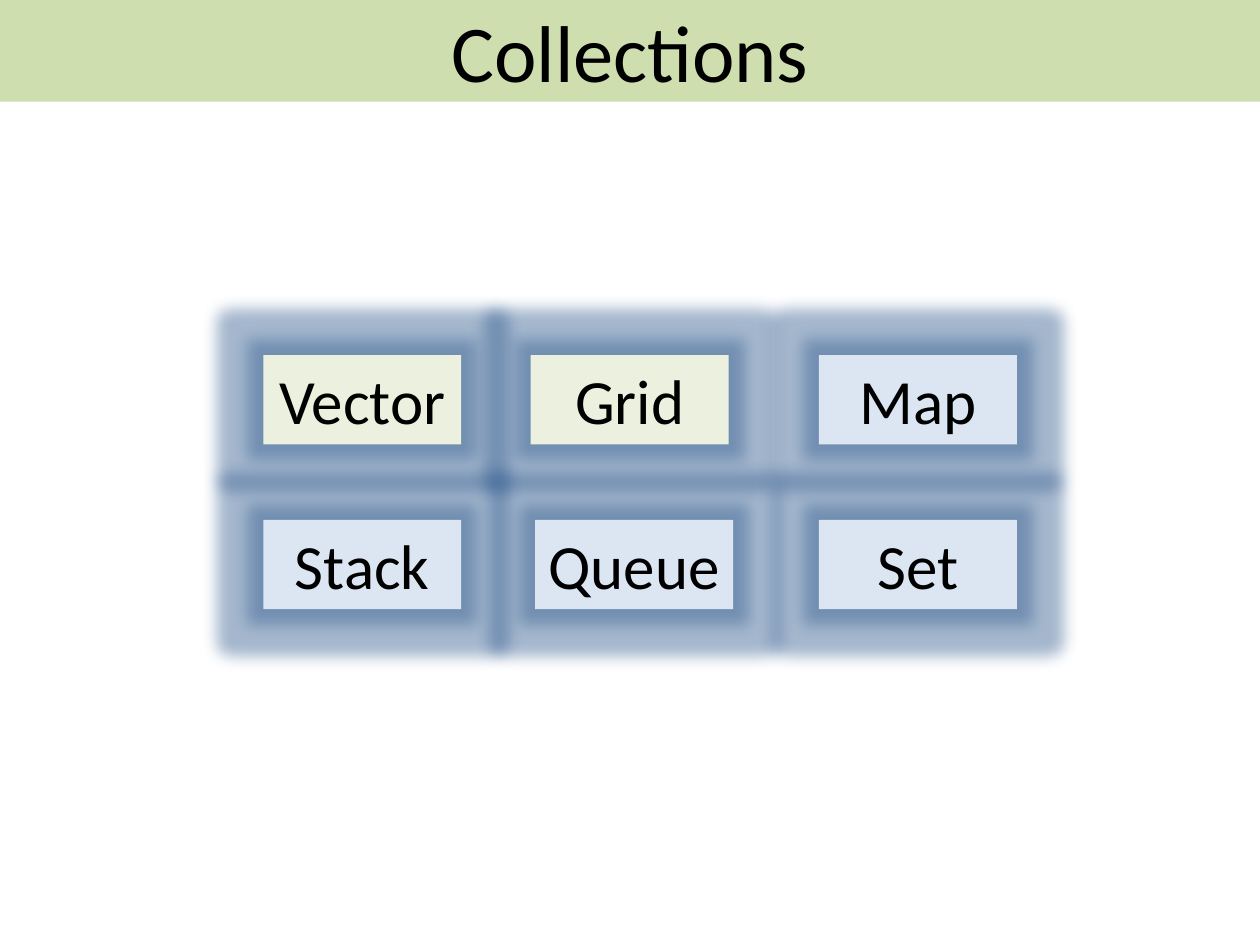
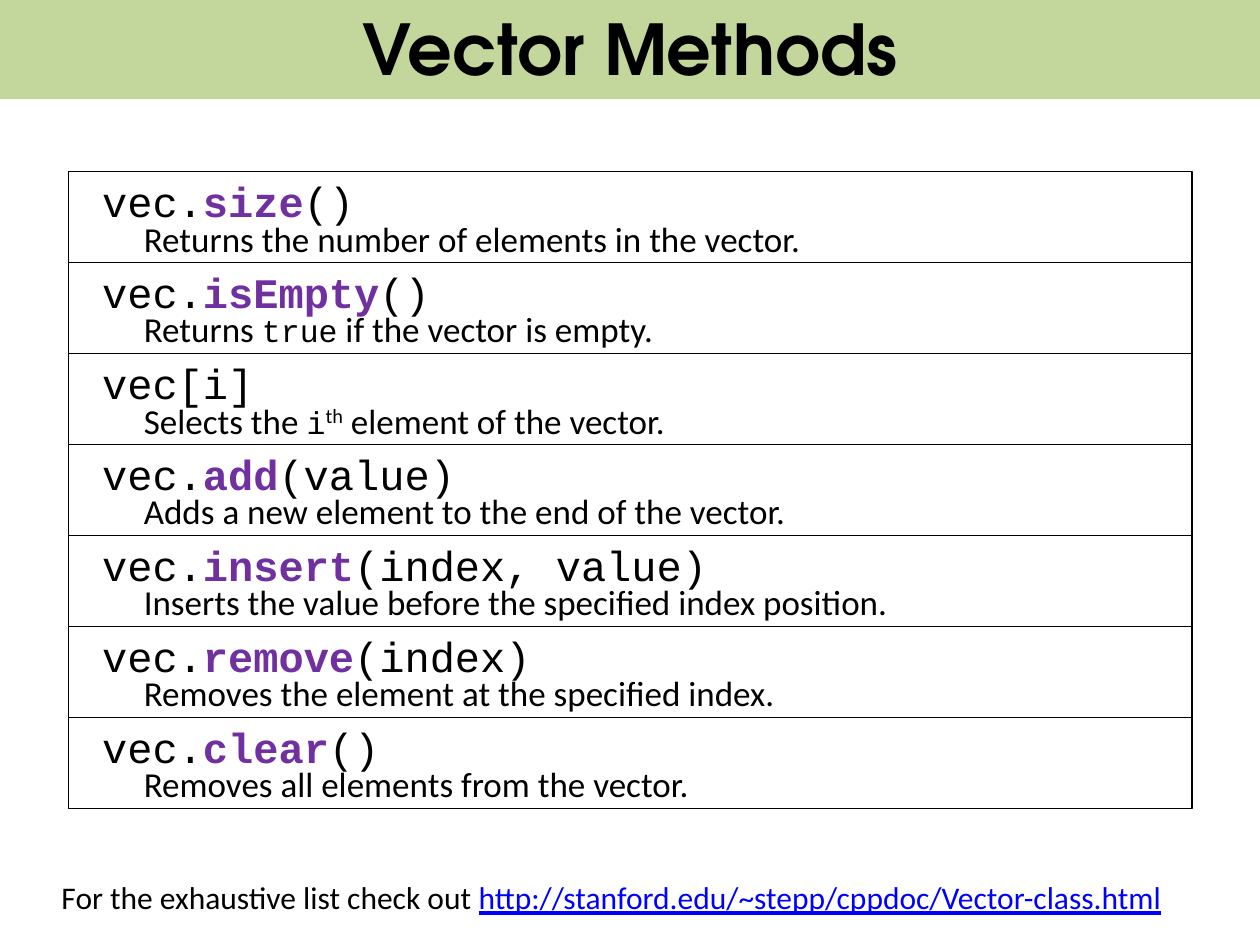
from lxml import etree
from pptx import Presentation
from pptx.dml.color import RGBColor
from pptx.enum.shapes import MSO_SHAPE
from pptx.enum.text import MSO_ANCHOR, MSO_AUTO_SIZE, PP_ALIGN
from pptx.oxml.ns import qn
from pptx.util import Cm, Pt

RECTANGLE = MSO_SHAPE.RECTANGLE
CENTER = PP_ALIGN.CENTER
MIDDLE = MSO_ANCHOR.MIDDLE
TOP = MSO_ANCHOR.TOP
GROW = MSO_AUTO_SIZE.SHAPE_TO_FIT_TEXT

BLACK = RGBColor(0x00, 0x00, 0x00)
WHITE = RGBColor(0xFF, 0xFF, 0xFF)
BAND_GREEN = RGBColor(0xC3, 0xD6, 0x9B)
PALE_GREEN = RGBColor(0xEB, 0xF1, 0xDE)
PALE_BLUE = RGBColor(0xDC, 0xE6, 0xF2)
GLOW_BLUE = RGBColor(0x37, 0x60, 0x92)
METHOD_PURPLE = RGBColor(0x70, 0x30, 0xA0)
LINK_BLUE = RGBColor(0x00, 0x00, 0xFF)

BODY_FONT = "Calibri"
CODE_FONT = "Courier New"
TITLE_FONT = "TeX Gyre Adventor"

SLIDE_WIDTH, SLIDE_HEIGHT = 25.4, 19.05

# Top of each row, then the name, left edge and fill of its collections
COLLECTION_ROWS = [
    (7.16, [("Vector", 5.31, PALE_GREEN), ("Grid", 10.7, PALE_GREEN),
            ("Map", 16.51, PALE_BLUE)]),
    (10.48, [("Stack", 5.31, PALE_BLUE), ("Queue", 10.79, PALE_BLUE),
             ("Set", 16.51, PALE_BLUE)]),
]

# Code before the method name, method name, code after it, description parts
METHODS = [
    ("vec.", "size", "()", ["Returns the number of elements in the vector."]),
    ("vec.", "isEmpty", "()",
     ["Returns ", ("true", "code"), " if the vector is empty."]),
    ("vec[i]", "", "",
     ["Selects the ", ("i", "code"), ("th", "superscript"),
      " element of the vector."]),
    ("vec.", "add", "(value)",
     ["Adds a new element to the end of the vector."]),
    ("vec.", "insert", "(index, value)",
     ["Inserts the value before the specified index position."]),
    ("vec.", "remove", "(index)",
     ["Removes the element at the specified index."]),
    ("vec.", "clear", "()", ["Removes all elements from the vector."]),
]


def add_run(paragraph, text, size, font=BODY_FONT, color=BLACK, bold=False):
    run = paragraph.add_run()
    run.text = text
    run.font.size = Pt(size)
    run.font.name = font
    run.font.color.rgb = color
    run.font.bold = bold
    return run


def add_rectangle(shapes, left, top, width, height, fill):
    shape = shapes.add_shape(RECTANGLE, Cm(left), Cm(top), Cm(width), Cm(height))
    shape.shadow.inherit = False
    shape.fill.solid()
    shape.fill.fore_color.rgb = fill
    shape.line.fill.background()
    return shape


def add_text_line(shapes, left, top, width, height, wrap=True):
    """Add an empty text box and return its paragraph."""
    box = shapes.add_textbox(Cm(left), Cm(top), Cm(width), Cm(height))
    box.text_frame.word_wrap = wrap
    box.text_frame.auto_size = GROW
    return box.text_frame.paragraphs[0]


def set_alpha(color_parent, percent):
    color = color_parent.find(".//" + qn("a:srgbClr"))
    etree.SubElement(color, qn("a:alpha"), val=str(percent * 1000))


def add_glow(shape, color, radius, opacity):
    effects = shape._element.spPr.find(qn("a:effectLst"))
    glow = etree.SubElement(effects, qn("a:glow"), rad=str(int(radius)))
    etree.SubElement(glow, qn("a:srgbClr"), val=str(color))
    set_alpha(glow, opacity)


def add_title_band(slide, title, top, height, size, font=BODY_FONT, bold=False):
    band = add_rectangle(slide.shapes, 0, top, SLIDE_WIDTH, height, BAND_GREEN)
    band.text_frame.vertical_anchor = MIDDLE
    paragraph = band.text_frame.paragraphs[0]
    paragraph.alignment = CENTER
    add_run(paragraph, title, size, font, bold=bold)
    return band


def add_collection(slide, name, left, top, fill):
    box = add_rectangle(slide.shapes, left, top, 3.99, 1.8, fill)
    add_glow(box, GLOW_BLUE, Pt(18), 45)
    frame = box.text_frame
    frame.word_wrap = False
    frame.auto_size = GROW
    frame.vertical_anchor = TOP
    frame.paragraphs[0].alignment = CENTER
    add_run(frame.paragraphs[0], name, 36)


def add_description(paragraph, parts):
    for part in parts:
        text, style = part if isinstance(part, tuple) else (part, "plain")
        if style == "code":
            add_run(paragraph, text, 18, CODE_FONT)
            continue
        run = add_run(paragraph, text, 20)
        if style == "superscript":
            run.font._element.set("baseline", "30000")


def add_method(slide, left, top, width, height, method):
    """Add one framed row with a call and its description."""
    before, name, after, description = method
    shapes = slide.shapes.add_group_shape().shapes
    frame = add_rectangle(shapes, left, top, width, height, WHITE)
    frame.line.color.rgb = BLACK
    frame.line.width = Pt(0.75)

    call = add_text_line(shapes, left + 0.43, top - 0.05, width - 0.86, 1.3)
    add_run(call, before, 24, CODE_FONT)
    if name:
        add_run(call, name, 24, CODE_FONT, METHOD_PURPLE, bold=True)
        add_run(call, after, 24, CODE_FONT)

    line = add_text_line(shapes, left + 1.27, top + 0.79, width - 1.5, 1.12)
    add_description(line, description)


def add_reference(slide, left, top, width, height):
    paragraph = add_text_line(slide.shapes, left, top, width, height, wrap=False)
    add_run(paragraph, "For the exhaustive list check out ", 18)
    address = add_run(paragraph,
                      "http://stanford.edu/~stepp/cppdoc/Vector-class.html",
                      18, color=LINK_BLUE)
    address.font.underline = True


def build_collections_slide(slide):
    for top, collections in COLLECTION_ROWS:
        for name, left, fill in collections:
            add_collection(slide, name, left, top, fill)
    band = add_title_band(slide, "Collections", 0, 2.05, 46)
    set_alpha(band._element.spPr, 80)


def build_methods_slide(slide):
    row_height = 12.84 / len(METHODS)
    for index, method in enumerate(METHODS):
        add_method(slide, 1.38, 3.46 + index * row_height, 22.65, row_height,
                   method)
    add_reference(slide, 0.99, 17.58, 23.09, 1.02)
    add_title_band(slide, "Vector Methods", -0.08, 2.08, 40, TITLE_FONT, bold=True)


def main():
    presentation = Presentation()
    presentation.slide_width = Cm(SLIDE_WIDTH)
    presentation.slide_height = Cm(SLIDE_HEIGHT)
    blank = presentation.slide_layouts[6]
    for build in (build_collections_slide, build_methods_slide):
        build(presentation.slides.add_slide(blank))
    presentation.save("out.pptx")


if __name__ == "__main__":
    main()
